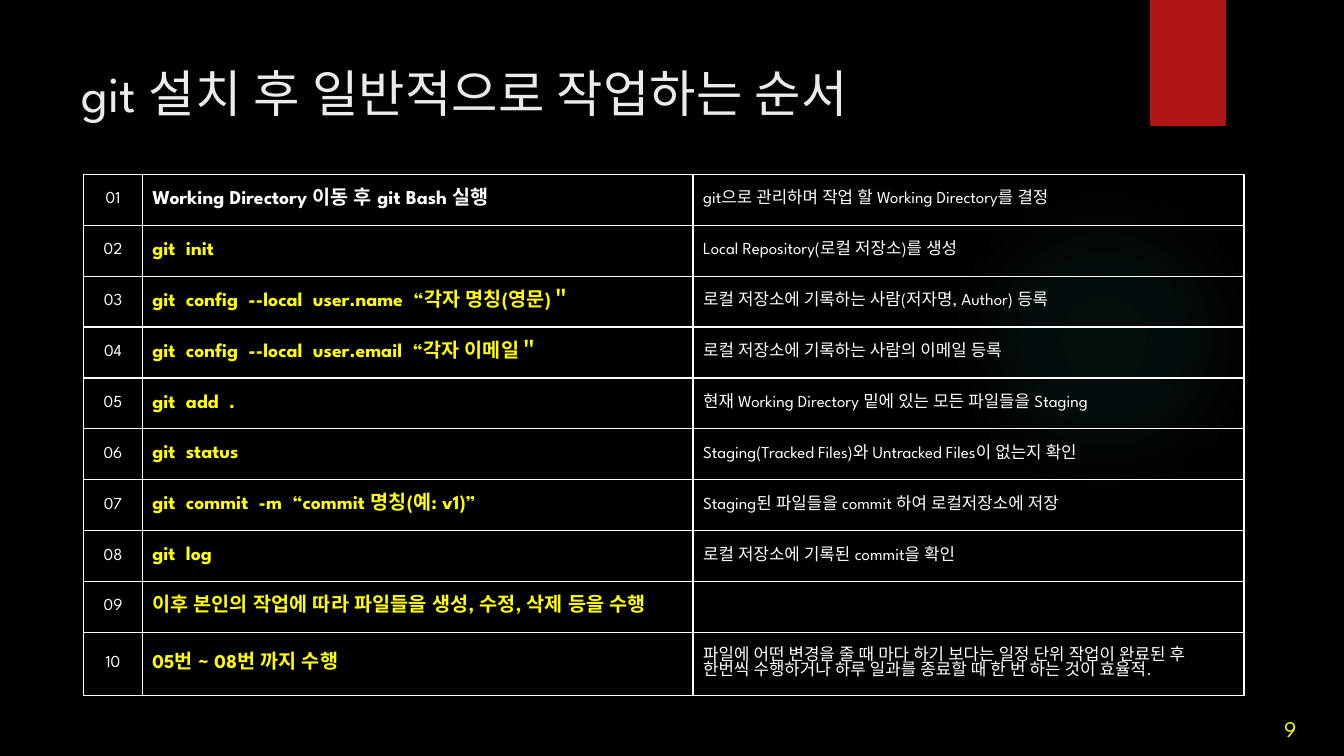
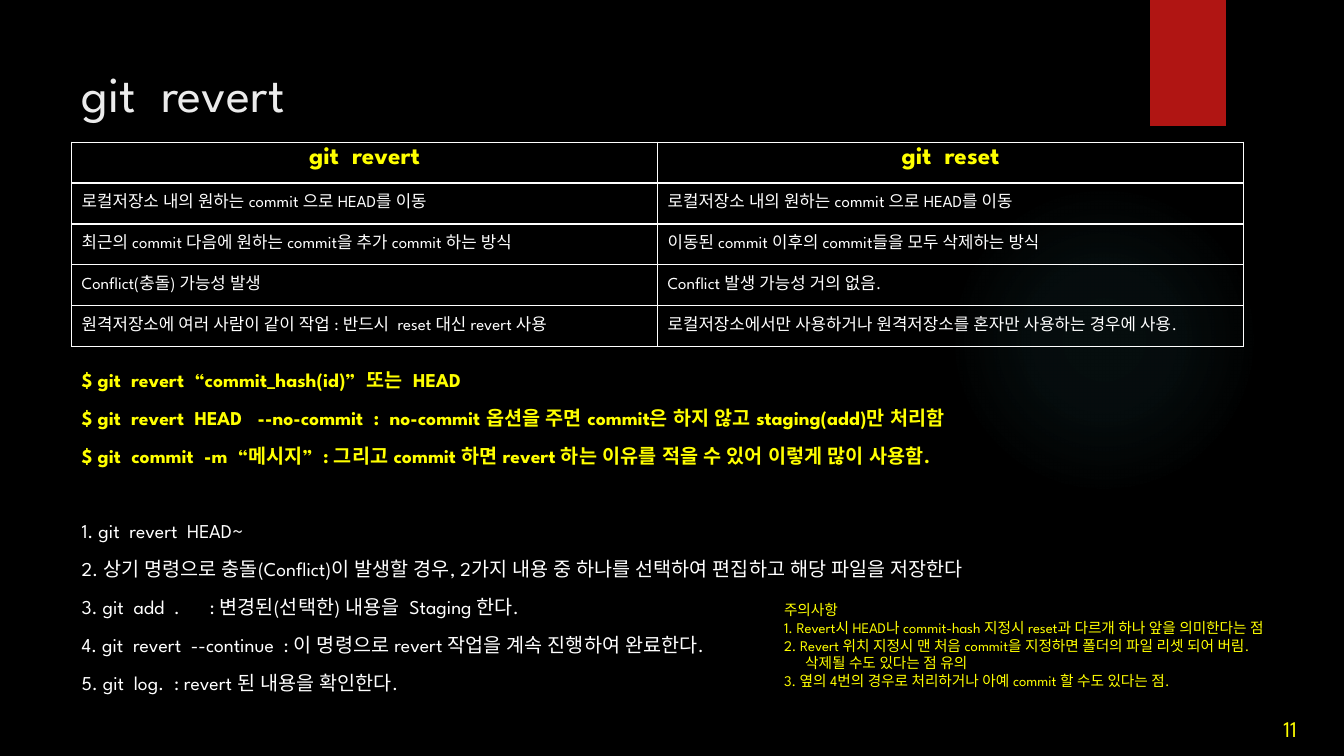
from dataclasses import dataclass

from lxml.etree import SubElement
from pptx import Presentation
from pptx.dml.color import RGBColor
from pptx.enum.shapes import MSO_SHAPE
from pptx.enum.text import MSO_ANCHOR, PP_ALIGN
from pptx.oxml import parse_xml
from pptx.oxml.ns import nsdecls, qn
from pptx.util import Inches, Pt

WIDTH, HEIGHT = Inches(13.333), Inches(7.5)
FONT = "League Spartan"
BLACK, WHITE, YELLOW = "000000", "FFFFFF", "FFFF00"
RED, TITLE_GREY, GLOW = "B01513", "EBEBEB", "50B9C1"


@dataclass
class Box:
    """Left, top, width and height as percentages of the slide."""
    left: float
    top: float
    width: float
    height: float

    def place(self):
        return (int(WIDTH * self.left / 100), int(HEIGHT * self.top / 100),
                int(WIDTH * self.width / 100), int(HEIGHT * self.height / 100))


GLOW_BOX = Box(70.58, 24.4, 23.1, 41.07)
RIBBON_BOX = Box(85.58, 0, 5.63, 16.67)
TITLE_BOX = Box(5.33, 5.73, 77.18, 13.07)
NUMBER_BOX = Box(92.55, 87.6, 6.9, 11.2)
STEPS_BOX = Box(6.23, 23.07, 86.33, 68.93)
COMPARISON_BOX = Box(5.33, 18.8, 87.2, 27.07)
COMMANDS_BOX = Box(5.33, 48, 87.2, 43.07)
CAUTION_BOX = Box(57.6, 78.8, 42.4, 13.07)

# Text styles
TITLE = {"size": 36, "color": TITLE_GREY}
NUMBER = {"size": 16, "color": YELLOW, "alignment": PP_ALIGN.CENTER}
PLAIN = {"size": 12, "color": WHITE}
INDEX = {**PLAIN, "alignment": PP_ALIGN.CENTER}
COMMAND = {"size": 14, "color": YELLOW, "bold": True}
ACTION = {**COMMAND, "color": WHITE}
HEADER = {"size": 18, "color": YELLOW, "bold": True, "alignment": PP_ALIGN.CENTER}
COMMAND_LINE = {**COMMAND, "line_spacing": Pt(17), "space_before": Pt(10)}
FIRST_LINE = {**COMMAND_LINE, "space_before": Pt(0)}
PROCEDURE = {**COMMAND_LINE, "color": WHITE, "bold": False}
PROCEDURE_START = {**PROCEDURE, "space_before": Pt(37)}
CAUTION = {"size": 10.5, "color": YELLOW, "line_spacing": Pt(12.7)}
CAUTION_INDENTED = {**CAUTION, "indent": Inches(0.21)}

STEPS = [
    ("Working Directory 이동 후 git Bash 실행", "git으로 관리하며 작업 할 Working Directory를 결정"),
    ("git  init", "Local Repository(로컬 저장소)를 생성"),
    ("git  config  --local  user.name  “각자 명칭(영문)＂", "로컬 저장소에 기록하는 사람(저자명, Author) 등록"),
    ("git  config  --local  user.email  “각자 이메일＂", "로컬 저장소에 기록하는 사람의 이메일 등록"),
    ("git  add  .", "현재 Working Directory 밑에 있는 모든 파일들을 Staging"),
    ("git  status", "Staging(Tracked Files)와 Untracked Files이 없는지 확인"),
    ("git  commit  -m  “commit 명칭(예: v1)”", "Staging된 파일들을 commit 하여 로컬저장소에 저장"),
    ("git  log", "로컬 저장소에 기록된 commit을 확인"),
    ("이후 본인의 작업에 따라 파일들을 생성, 수정, 삭제 등을 수행", ""),
    ("05번 ~ 08번 까지 수행",
     "파일에 어떤 변경을 줄 때 마다 하기 보다는 일정 단위 작업이 완료된 후 "
     "한번씩 수행하거나 하루 일과를 종료할 때 한 번 하는 것이 효율적."),
]

COMPARISON = [
    ("git  revert", "git  reset"),
    ("로컬저장소 내의 원하는 commit 으로 HEAD를 이동", "로컬저장소 내의 원하는 commit 으로 HEAD를 이동"),
    ("최근의 commit 다음에 원하는 commit을 추가 commit 하는 방식", "이동된 commit 이후의 commit들을 모두 삭제하는 방식"),
    ("Conflict(충돌) 가능성 발생", "Conflict 발생 가능성 거의 없음."),
    ("원격저장소에 여러 사람이 같이 작업 : 반드시  reset 대신 revert 사용",
     "로컬저장소에서만 사용하거나 원격저장소를 혼자만 사용하는 경우에 사용."),
]

COMMANDS = [
    ("$ git  revert  “commit_hash(id)”  또는  HEAD", FIRST_LINE),
    ("$ git  revert  HEAD   --no-commit  :  no-commit 옵션을 주면 commit은 하지 않고 staging(add)만 처리함", COMMAND_LINE),
    ("$ git  commit  -m  “메시지”  : 그리고 commit 하면 revert 하는 이유를 적을 수 있어 이렇게 많이 사용함.", COMMAND_LINE),
    ("1. git  revert  HEAD~", PROCEDURE_START),
    ("2. 상기 명령으로 충돌(Conflict)이 발생할 경우, 2가지 내용 중 하나를 선택하여 편집하고 해당 파일을 저장한다", PROCEDURE),
    ("3. git  add  .\t: 변경된(선택한) 내용을  Staging 한다.", {**PROCEDURE, "tab": Inches(1.27)}),
    ("4. git  revert  --continue  : 이 명령으로 revert 작업을 계속 진행하여 완료한다.", PROCEDURE),
    ("5. git  log.  : revert 된 내용을 확인한다.", PROCEDURE),
]

CAUTIONS = [
    ("주의사항", CAUTION),
    ("1. Revert시 HEAD나 commit-hash 지정시 reset과 다르개 하나 앞을 의미한다는 점", CAUTION),
    ("2. Revert 위치 지정시 맨 처음 commit을 지정하면 폴더의 파일 리셋 되어 버림.", CAUTION),
    ("삭제될 수도 있다는 점 유의", CAUTION_INDENTED),
    ("3. 옆의 4번의 경우로 처리하거나 아예 commit 할 수도 있다는 점.", CAUTION),
]


def color(value):
    return RGBColor.from_string(value)


def write_paragraph(paragraph, text, style):
    """Write one run and apply a dict of format values."""
    for name in ("alignment", "line_spacing", "space_before"):
        if name in style:
            setattr(paragraph, name, style[name])
    properties = paragraph._p.get_or_add_pPr()
    if "indent" in style:
        properties.set("marL", str(style["indent"]))
    if "tab" in style:
        tabs = SubElement(properties, qn("a:tabLst"))
        SubElement(tabs, qn("a:tab"), pos=str(style["tab"]), algn="l")
    run = paragraph.add_run()
    run.text = text
    font_values = {"name": FONT, "size": Pt(style["size"]), "bold": style.get("bold", False)}
    for name, value in font_values.items():
        setattr(run.font, name, value)
    run.font.color.rgb = color(style["color"])
    SubElement(run._r.get_or_add_rPr(), qn("a:ea"), typeface=FONT)


def add_text(slide, box, lines, anchor=MSO_ANCHOR.TOP):
    frame = slide.shapes.add_textbox(*box.place()).text_frame
    frame.word_wrap = True
    frame.vertical_anchor = anchor
    for index, (text, style) in enumerate(lines):
        paragraph = frame.add_paragraph() if index else frame.paragraphs[0]
        write_paragraph(paragraph, text, style)


def add_decoration(slide, kind, box, fill):
    shape = slide.shapes.add_shape(kind, *box.place())
    shape.shadow.inherit = False
    shape.line.fill.background()
    shape.fill.solid()
    shape.fill.fore_color.rgb = color(fill)
    return shape


def add_glow(slide):
    """Soft round light that fades towards its rim."""
    shape = add_decoration(slide, MSO_SHAPE.OVAL, GLOW_BOX, GLOW)
    stops = "".join(
        f'<a:gs pos="{position}000"><a:srgbClr val="{GLOW}"><a:alpha val="{alpha}000"/></a:srgbClr></a:gs>'
        for position, alpha in ((0, 7), (36, 6), (69, 0), (100, 0)))
    gradient = parse_xml(
        f'<a:gradFill {nsdecls("a")} rotWithShape="1"><a:gsLst>{stops}</a:gsLst><a:path path="circle">'
        '<a:fillToRect l="50000" t="50000" r="50000" b="50000"/></a:path></a:gradFill>')
    solid = shape._element.spPr.find(qn("a:solidFill"))
    solid.getparent().replace(solid, gradient)


def outline_cell(cell):
    """White one-point border on every side, without a fill."""
    cell.fill.background()
    properties = cell._tc.get_or_add_tcPr()
    for index, side in enumerate(("lnL", "lnR", "lnT", "lnB")):
        properties.insert(index, parse_xml(
            f'<a:{side} {nsdecls("a")} w="{Pt(1)}"><a:solidFill><a:srgbClr val="{WHITE}"/>'
            f'</a:solidFill></a:{side}>'))


def add_grid(slide, box, rows, column_shares, row_shares):
    """Table whose rows hold (text, style, anchor) cells."""
    left, top, width, height = box.place()
    table = slide.shapes.add_table(len(rows), len(column_shares), left, top, width, height).table
    table.first_row = table.horz_banding = False
    for column, share in zip(table.columns, column_shares):
        column.width = int(width * share / sum(column_shares))
    for row, share in zip(table.rows, row_shares):
        row.height = int(height * share / sum(row_shares))
    for row, contents in zip(table.rows, rows):
        for cell, (text, style, anchor) in zip(row.cells, contents):
            outline_cell(cell)
            cell.vertical_anchor = anchor
            write_paragraph(cell.text_frame.paragraphs[0], text, style)


def start_slide(presentation, title, number):
    """Blank slide with the shared light, ribbon, title and page number."""
    slide = presentation.slides.add_slide(presentation.slide_layouts[6])
    add_glow(slide)
    add_decoration(slide, MSO_SHAPE.RECTANGLE, RIBBON_BOX, RED)
    add_text(slide, TITLE_BOX, [(title, TITLE)], MSO_ANCHOR.MIDDLE)
    add_text(slide, NUMBER_BOX, [(number, NUMBER)], MSO_ANCHOR.BOTTOM)
    return slide


def build_steps_slide(presentation):
    slide = start_slide(presentation, "git 설치 후 일반적으로 작업하는 순서", "9")
    middle = MSO_ANCHOR.MIDDLE
    rows = [[(f"{number:02d}", INDEX, middle),
             (action, ACTION if number == 1 else COMMAND, middle),
             (meaning, PLAIN, middle)]
            for number, (action, meaning) in enumerate(STEPS, 1)]
    add_grid(slide, STEPS_BOX, rows, [0.58, 5.46, 5.46], [0.5] * 9 + [0.62])


def build_revert_slide(presentation):
    slide = start_slide(presentation, "git  revert", "11")
    # Commands and procedure
    add_text(slide, COMMANDS_BOX, COMMANDS)
    # Comparison of the two commands
    header, *body = COMPARISON
    rows = [[(text, HEADER, MSO_ANCHOR.TOP) for text in header]]
    rows += [[(text, PLAIN, MSO_ANCHOR.MIDDLE) for text in pair] for pair in body]
    add_grid(slide, COMPARISON_BOX, rows, [1, 1], [1] * len(rows))
    # Cautions
    add_text(slide, CAUTION_BOX, CAUTIONS)


def main():
    presentation = Presentation()
    presentation.slide_width, presentation.slide_height = WIDTH, HEIGHT
    background = presentation.slide_master.background.fill
    background.solid()
    background.fore_color.rgb = color(BLACK)
    build_steps_slide(presentation)
    build_revert_slide(presentation)
    presentation.save("out.pptx")


if __name__ == "__main__":
    main()
